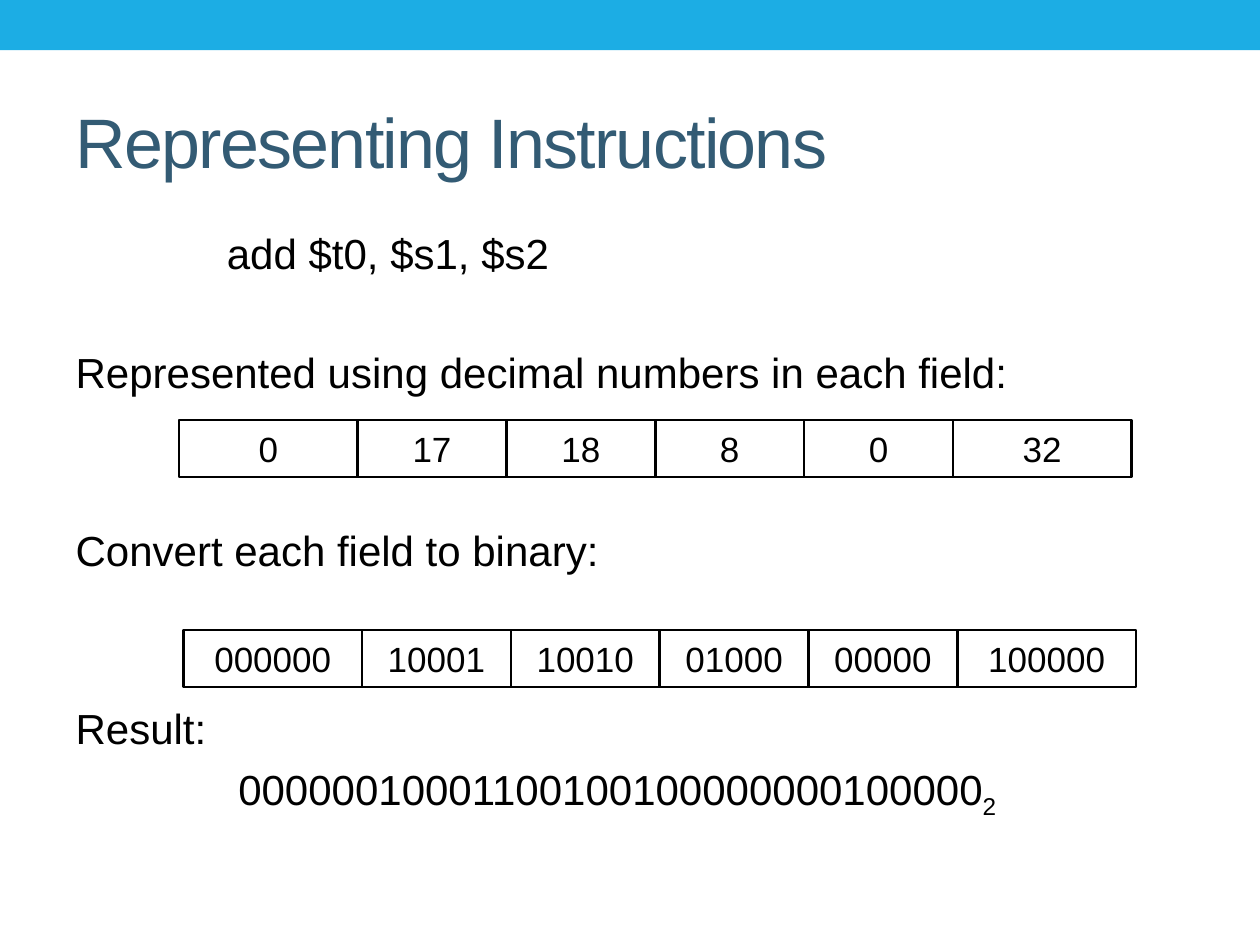
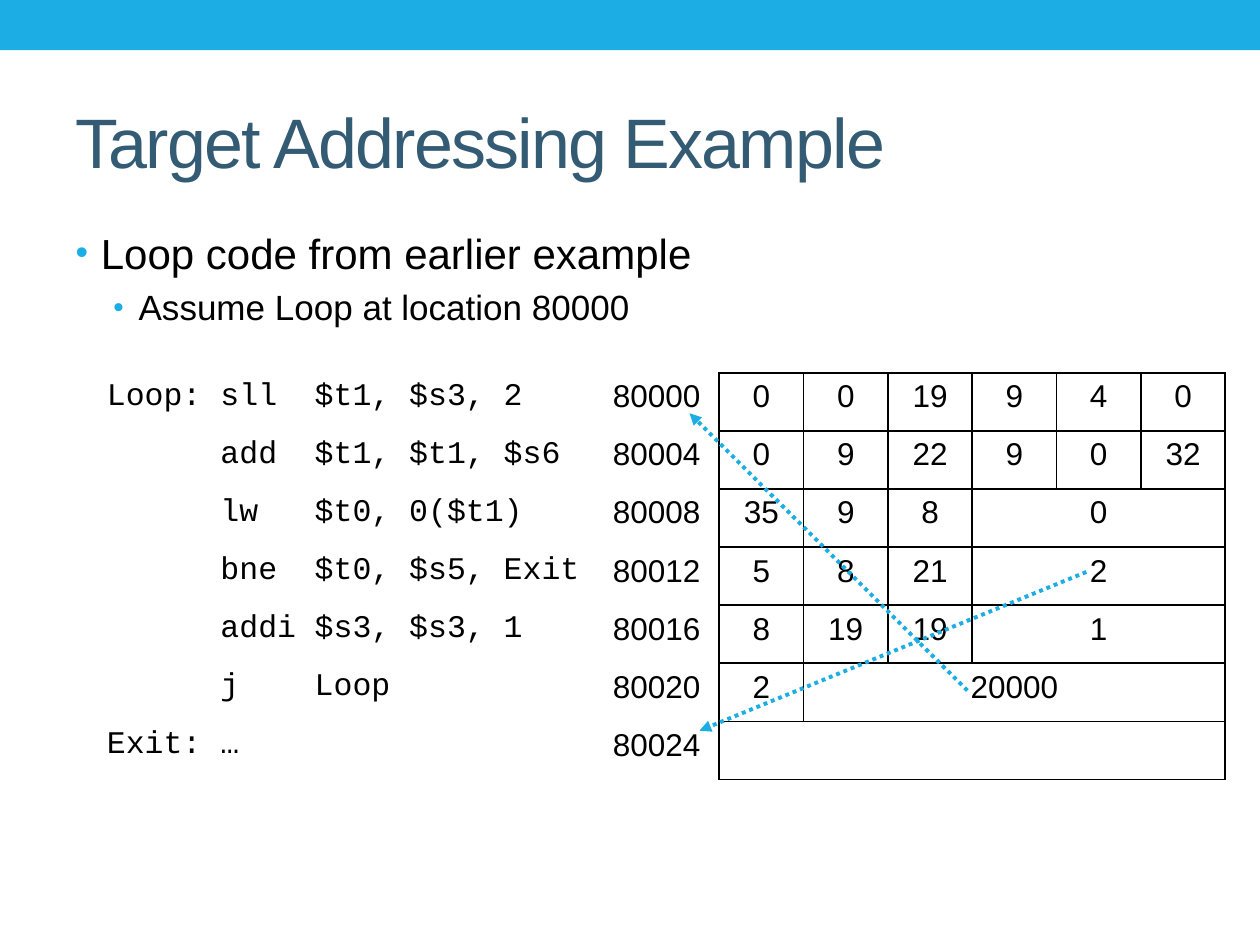
from lxml.etree import SubElement
from pptx import Presentation
from pptx.dml.color import RGBColor
from pptx.enum.dml import MSO_LINE
from pptx.enum.shapes import MSO_CONNECTOR, MSO_SHAPE
from pptx.enum.text import MSO_ANCHOR, MSO_AUTO_SIZE, PP_ALIGN
from pptx.oxml.ns import qn
from pptx.util import Cm, Pt

COLORS = {"accent": "1CADE4", "title": "335B74", "text": "000000", "hidden": "FFFFFF"}
SANS, MONO = "Arial", "Courier New"
TITLE_BOX = (1.27, 1.47, 22.86, 2.74)
BODY_BOX = (1.27, 4.45, 22.86, 13.54)
LINE_PITCH = 33.5
FIELD_WIDTHS = [3.6, 3, 3, 3, 3, 3.6]
COLUMN_WIDTHS = [10.2, 2.4] + [1.7] * 6
CODE_TABS = [2.29, 4.19]

INSTRUCTION_LINES = [
    ("add $t0, $s1, $s2", 0, 3.05),
    ("Represented using decimal numbers in each field:", 1, 0),
    ("Convert each field to binary:", 2, 0),
    ("Result:", 2, 0),
    ("00000010001100100100000000100000", 0, 3.28),
]
DECIMAL_FIELDS = ["0", "17", "18", "8", "0", "32"]
BINARY_FIELDS = ["000000", "10001", "10010", "01000", "00000", "100000"]
LOOP_PROGRAM = [
    ("Loop:\tsll\t$t1, $s3, 2", ["0", "0", "19", "9", "4", "0"]),
    ("\tadd\t$t1, $t1, $s6", ["0", "9", "22", "9", "0", "32"]),
    ("\tlw\t$t0, 0($t1)", ["35", "9", "8", "0"]),
    ("\tbne\t$t0, $s5, Exit", ["5", "8", "21", "2"]),
    ("\taddi\t$s3, $s3, 1", ["8", "19", "19", "1"]),
    ("\tj\tLoop", ["2", "20000"]),
    ("Exit:\t…", [""]),
]


def rgb(name):
    """Return the named colour."""
    return RGBColor.from_string(COLORS[name])


def format_runs(paragraph, size, color="text", font=SANS):
    """Give every run of a paragraph its size, colour and font."""
    for run in paragraph.runs:
        run.font.size = Pt(size)
        run.font.name = font
        run.font.color.rgb = rgb(color)


def place(shape, box):
    """Move a shape to a box given in centimetres."""
    shape.left, shape.top, shape.width, shape.height = map(Cm, box)


def set_indent(paragraph, margin, hanging=0):
    """Set the left margin and the hanging indent; return the properties."""
    properties = paragraph._p.get_or_add_pPr()
    properties.set("marL", str(Cm(margin)))
    properties.set("indent", str(-Cm(hanging)))
    return properties


def add_base_slide(presentation, title):
    """Add a slide with the top band and title; return it with its body text."""
    slide = presentation.slides.add_slide(presentation.slide_layouts[1])
    band = slide.shapes.add_shape(MSO_SHAPE.RECTANGLE, 0, 0, presentation.slide_width, Cm(1.01))
    band.shadow.inherit = False
    band.fill.solid()
    band.fill.fore_color.rgb = rgb("accent")
    band.line.fill.background()

    heading, body = slide.shapes.title, slide.placeholders[1]
    for placeholder, box in ((heading, TITLE_BOX), (body, BODY_BOX)):
        place(placeholder, box)
        placeholder.text_frame.auto_size = MSO_AUTO_SIZE.NONE
    heading.text_frame.vertical_anchor = MSO_ANCHOR.MIDDLE
    heading.text_frame.text = title
    paragraph = heading.text_frame.paragraphs[0]
    paragraph.alignment = PP_ALIGN.LEFT
    format_runs(paragraph, 40, "title")
    paragraph.runs[0].font._element.set("spc", "-100")
    return slide, body.text_frame


def fill_instruction_lines(text_frame):
    """Write the unbulleted steps, spaced to leave room for the field rows."""
    text_frame.text = "\n".join(line[0] for line in INSTRUCTION_LINES)
    for index, (_, gap_lines, margin) in enumerate(INSTRUCTION_LINES):
        paragraph = text_frame.paragraphs[index]
        paragraph.space_before = Pt(5.9 + gap_lines * LINE_PITCH if index else 0)
        SubElement(set_indent(paragraph, margin), qn("a:buNone"))
    base = text_frame.paragraphs[-1].add_run()
    base.text = "2"
    for paragraph in text_frame.paragraphs:
        format_runs(paragraph, 24)
    base.font._element.set("baseline", "-25000")


def fill_bullets(text_frame, bullets):
    """Write a bulleted list of (text, level) pairs."""
    text_frame.text = "\n".join(text for text, _ in bullets)
    for paragraph, (_, level) in zip(text_frame.paragraphs, bullets):
        size = 24 - 4 * level
        paragraph.level = level
        paragraph.space_before = Pt(0.24 * size if level else 0)
        properties = set_indent(paragraph, 0.51 + 0.76 * level, 0.51)
        color = SubElement(properties, qn("a:buClr"))
        SubElement(color, qn("a:srgbClr"), val=COLORS["accent"])
        SubElement(properties, qn("a:buSzPct"), val="85000")
        SubElement(properties, qn("a:buFont"), typeface=SANS)
        SubElement(properties, qn("a:buChar"), char="•")
        format_runs(paragraph, size)


def add_field_row(slide, left, top, fields):
    """Draw one instruction word as a group of adjoining boxes."""
    group = slide.shapes.add_group_shape()
    for index, (field, width) in enumerate(zip(fields, FIELD_WIDTHS)):
        field_left = left + sum(FIELD_WIDTHS[:index])
        box = group.shapes.add_shape(
            MSO_SHAPE.RECTANGLE, Cm(field_left), Cm(top), Cm(width), Cm(1.15))
        box.shadow.inherit = False
        box.fill.background()
        box.line.color.rgb = rgb("text")
        box.line.width = Pt(1.5)
        box.text_frame.text = field
        paragraph = box.text_frame.paragraphs[0]
        paragraph.alignment = PP_ALIGN.CENTER
        format_runs(paragraph, 20)


def set_borders(cell, left, right, top, bottom):
    """Draw the four cell borders in the named colours and clear the fill."""
    properties = cell._tc.get_or_add_tcPr()
    for side, color in zip("LRTB", (left, right, top, bottom)):
        line = SubElement(properties, qn(f"a:ln{side}"), w=str(Pt(1)))
        fill = SubElement(line, qn("a:solidFill"))
        SubElement(fill, qn("a:srgbClr"), val=COLORS[color])
    cell.fill.background()


def write_cell(cell, text, font=SANS, alignment=PP_ALIGN.LEFT):
    """Write one formatted line in a table cell."""
    cell.text_frame.text = text
    paragraph = cell.text_frame.paragraphs[0]
    paragraph.alignment = alignment
    format_runs(paragraph, 18, font=font)
    return paragraph


def add_program_table(slide, left, top):
    """Set the code beside its addresses and encoded fields."""
    row_count, column_count = len(LOOP_PROGRAM), len(COLUMN_WIDTHS)
    row_height = 1.17
    frame = slide.shapes.add_table(
        row_count, column_count, Cm(left), Cm(top),
        Cm(sum(COLUMN_WIDTHS)), Cm(row_height * row_count))
    table = frame.table
    table.first_row = table.horz_banding = False
    for column, width in zip(table.columns, COLUMN_WIDTHS):
        column.width = Cm(width)
    for row, (code, fields) in enumerate(LOOP_PROGRAM):
        table.rows[row].height = Cm(row_height)
        for column in range(column_count):
            colors = ["hidden" if column < 2 else "text"] * 4
            if column == 1:
                colors[1] = "text"
            set_borders(table.cell(row, column), *colors)
        paragraph = write_cell(table.cell(row, 0), code, MONO)
        tabs = SubElement(paragraph._p.get_or_add_pPr(), qn("a:tabLst"))
        for position in CODE_TABS:
            SubElement(tabs, qn("a:tab"), pos=str(Cm(position)), algn="l")
        write_cell(table.cell(row, 1), str(80000 + 4 * row))
        last = len(fields) + 1
        if last < column_count - 1:
            table.cell(row, last).merge(table.cell(row, column_count - 1))
        for column, field in enumerate(fields, 2):
            write_cell(table.cell(row, column), field, alignment=PP_ALIGN.CENTER)


def add_target_arrow(slide, start, end):
    """Draw a dotted arrow from an address field to its target."""
    arrow = slide.shapes.add_connector(MSO_CONNECTOR.STRAIGHT, *map(Cm, start + end))
    arrow.line.color.rgb = rgb("accent")
    arrow.line.width = Pt(2.25)
    arrow.line.dash_style = MSO_LINE.ROUND_DOT
    properties = arrow.element.spPr
    SubElement(properties.find(qn("a:ln")), qn("a:tailEnd"), type="triangle")
    SubElement(properties, qn("a:effectLst"))


def build_instructions_slide(presentation):
    """Show one instruction in decimal, binary and as a whole word."""
    slide, body = add_base_slide(presentation, "Representing Instructions")
    fill_instruction_lines(body)
    add_field_row(slide, 3.61, 8.47, DECIMAL_FIELDS)
    add_field_row(slide, 3.7, 12.7, BINARY_FIELDS)


def build_addressing_slide(presentation):
    """Show the loop code with its jump and branch targets."""
    slide, body = add_base_slide(presentation, "Target Addressing Example")
    fill_bullets(body, [("Loop code from earlier example", 0),
                        ("Assume Loop at location 80000", 1)])
    add_program_table(slide, 1.9, 7.52)
    add_target_arrow(slide, (19.5, 13.92), (13.9, 8.33))
    add_target_arrow(slide, (21.9, 11.53), (14.1, 14.73))


def main():
    """Build and save the presentation."""
    presentation = Presentation()
    presentation.slide_width, presentation.slide_height = Cm(25.4), Cm(19.05)
    build_instructions_slide(presentation)
    build_addressing_slide(presentation)
    presentation.save("out.pptx")


if __name__ == "__main__":
    main()
